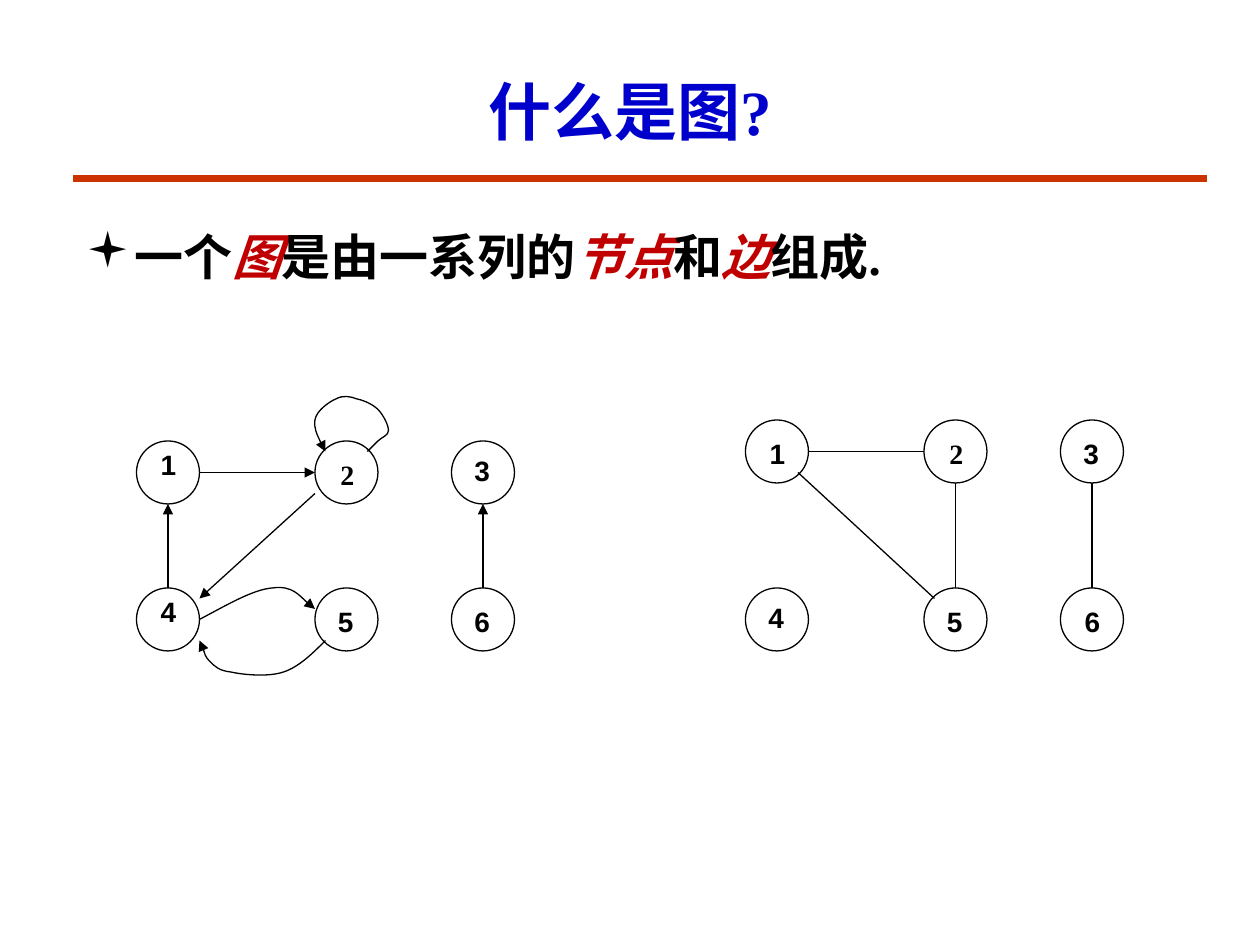
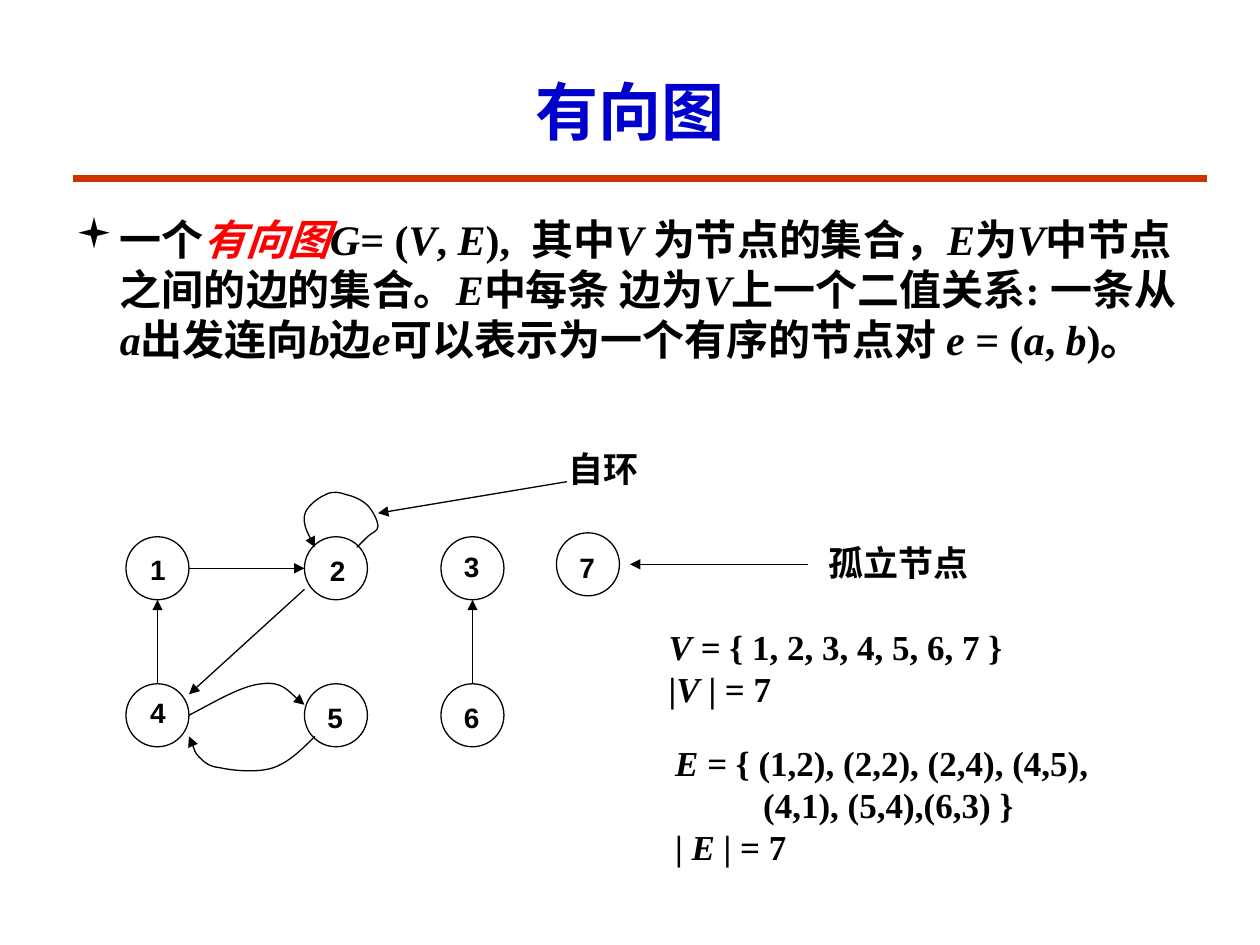
from lxml.etree import SubElement
from pptx import Presentation
from pptx.dml.color import RGBColor
from pptx.enum.shapes import MSO_CONNECTOR, MSO_SHAPE
from pptx.enum.text import MSO_ANCHOR, MSO_AUTO_SIZE, PP_ALIGN
from pptx.oxml.ns import qn
from pptx.util import Pt

# Style
SCALE = 9525
BLACK = RGBColor(0x00, 0x00, 0x00)
BLUE = RGBColor(0x00, 0x00, 0xCC)
RUST = RGBColor(0xCC, 0x33, 0x00)
WINE = RGBColor(0xC0, 0x00, 0x00)
RED = RGBColor(0xFF, 0x00, 0x00)
SERIF, SANS = "Times New Roman", "Arial"

# Graph layout, relative to the corner of node 1
SIZE = 48
COLS = (0, 136, 240)
EDGES = (((24, 112), (24, 48)), ((48, 24), (136, 24)),
         ((136, 40), (48, 120)), ((264, 112), (264, 48)))
LINKS = (((40, 40), (144, 136)), ((48, 24), (136, 24)),
         ((160, 128), (160, 48)), ((264, 128), (264, 48)))

# Bezier points: a start, then three for each part
LOOP = ((176, 8), (177, 7), (181, 3), (184, 0),
        (187, -3), (192, -4), (192, -8),
        (192, -12), (188, -20), (184, -24),
        (180, -28), (173, -31), (168, -32),
        (163, -34), (157, -35), (152, -32),
        (147, -30), (137, -23), (136, -16),
        (135, -10), (139, -1), (144, 8))
OVER = ((48, 136), (69, 125), (89, 113), (104, 112),
        (119, 110), (130, 124), (136, 128))
UNDER = ((144, 152), (134, 162), (124, 172), (112, 176),
         (100, 180), (81, 178), (72, 176),
         (63, 175), (60, 172), (56, 168),
         (52, 164), (50, 155), (48, 152))


def emu(px):
    return px * SCALE


class Deck:
    def __init__(self):
        self.prs = Presentation()
        self.prs.slide_width, self.prs.slide_height = emu(960), emu(720)

    def page(self, title):
        self.shapes = self.prs.slides.add_slide(self.prs.slide_layouts[6]).shapes
        self.line((56, 136), (920, 136), color=RUST, width=4.5)
        self.text((72, 40, 816, 88), [title], size=36, color=BLUE, wrap=True,
                  anchor=MSO_ANCHOR.MIDDLE, align=PP_ALIGN.CENTER)

    def stroke(self, shape, color=BLACK, width=0.75, arrow=False):
        shape.line.color.rgb = color
        shape.line.width = Pt(width)
        if arrow:
            ln = shape.element.spPr.find(qn("a:ln"))
            SubElement(ln, qn("a:tailEnd"), type="triangle")

    def line(self, start, end, **style):
        spots = [emu(v) for v in (*start, *end)]
        line = self.shapes.add_connector(MSO_CONNECTOR.STRAIGHT, *spots)
        self.stroke(line, **style)
        SubElement(line.element.spPr, qn("a:effectLst"))

    def curve(self, pts):
        pen = self.shapes.build_freeform(*pts[0], scale=SCALE)
        pen.add_line_segments(pts[1:], close=False)
        shape = pen.convert_to_shape()
        # Turn each three line steps into one Bezier part
        steps = list(shape.element.iter(qn("a:lnTo")))
        track = steps[0].getparent()
        for i in range(0, len(steps), 3):
            bend = SubElement(track, qn("a:cubicBezTo"))
            for step in steps[i:i + 3]:
                bend.append(step[0])
                track.remove(step)
        shape.fill.background()
        shape.shadow.inherit = False
        self.stroke(shape, arrow=True)

    def node(self, x, y, name, shift, font=SANS):
        ring = self.shapes.add_shape(MSO_SHAPE.OVAL, emu(x), emu(y), emu(SIZE), emu(SIZE))
        ring.fill.background()
        ring.shadow.inherit = False
        self.stroke(ring)
        dx, dy = shift
        self.text((x + dx, y + dy, 31, 35), [name], size=16, font=font)

    def text(self, box, rows, size=20, color=BLACK, hot=RED, font=SERIF, wrap=False,
             anchor=MSO_ANCHOR.TOP, align=PP_ALIGN.LEFT, hang=0, inset=()):
        """Stars mark italics, hot if Chinese; a lone starred space is wide."""
        frame = self.shapes.add_textbox(*[emu(v) for v in box]).text_frame
        fit = MSO_AUTO_SIZE.NONE if wrap else MSO_AUTO_SIZE.SHAPE_TO_FIT_TEXT
        form = {"word_wrap": wrap, "auto_size": fit, "vertical_anchor": anchor}
        for key, value in form.items():
            setattr(frame, key, value)
        for i, row in enumerate(rows):
            para = frame.add_paragraph() if i else frame.paragraphs[0]
            para.alignment = align
            props = para._p.get_or_add_pPr()
            if hang:
                props.set("marL", str(emu(hang)))
                props.set("indent", str(-emu(hang)))
                SubElement(props, qn("a:buFont"), typeface="Wingdings")
                SubElement(props, qn("a:buChar"), char="▪")
            elif i in inset:
                props.set("marL", str(emu(67)))
            for n, part in enumerate(row.split("*")):
                if not part:
                    continue
                run = para.add_run()
                run.text = part
                slant = n % 2 == 1
                form = {"name": font, "size": Pt(size), "bold": True, "italic": slant}
                for key, value in form.items():
                    setattr(run.font, key, value)
                term = slant and not part.isascii()
                run.font.color.rgb = hot if term else color
                if part == " ":
                    run._r.get_or_add_rPr().set("spc", "600")

    def graph(self, x, y, gap, shifts, edges, arcs=(), two=SANS):
        for i, shift in enumerate(shifts):
            row, col = divmod(i, 3)
            font = two if i == 1 else SANS
            self.node(x + COLS[col], y + row * gap, str(i + 1), shift, font)
        for ends in edges:
            start, end = [(x + a, y + b) for a, b in ends]
            self.line(start, end, arrow=bool(arcs))
        for arc in arcs:
            self.curve([(x + a, y + b) for a, b in arc])


def main():
    deck = Deck()
    arcs = (LOOP, OVER, UNDER)

    # What a graph is
    deck.page("什么是图?")
    deck.text((56, 168, 832, 472), ["一个*图*是由一系列的*节点*和*边*组成."],
              size=28, hot=WINE, wrap=True, hang=36)
    deck.graph(104, 336, 112, ((9, 0), (10, 8), (8, 5), (9, 0), (8, 8), (8, 8)),
               EDGES, arcs, SERIF)
    deck.graph(568, 320, 128, ((9, 8), (10, 8), (8, 8), (8, 5), (8, 8), (9, 8)),
               LINKS, two=SERIF)

    # Directed graph
    deck.page("有向图")
    deck.text((48, 120, 864, 200),
              ["一个*有向图**G*= (*V*, *E*), * *其中*V *为节点的集合，*E*为*V*中节点之间的边的集合。"
               "*E*中每条 边为*V*上一个二值关系: 一条从*a*出发连向*b*边*e*"
               "可以表示为一个有序的节点对 *e* = (*a*, *b*)。".replace("), * *", "),* *")],
              size=24, wrap=True, anchor=MSO_ANCHOR.MIDDLE, hang=34)
    deck.graph(96, 409, 112, ((9, 7), (10, 8), (8, 5), (9, 4), (8, 8), (8, 8)),
               EDGES, arcs)

    # Loop and lone node
    deck.node(424, 406, "7", (8, 9))
    deck.line((432, 367), (288, 391), arrow=True)
    deck.line((616, 430), (480, 430), arrow=True)
    deck.text((424, 336, 74, 42), ["自环"])
    deck.text((622, 408, 128, 42), ["孤立节点"])

    # Node and edge sets
    deck.text((500, 472, 276, 74), ["*V* = { 1, 2, 3, 4, 5, 6, 7 }", "|*V* | = 7"])
    deck.text((505, 560, 344, 107),
              ["*E* = { (1,2), (2,2), (2,4), (4,5),", "(4,1), (5,4),(6,3) }", "| *E* | = 7"],
              inset=(1,))
    deck.prs.save("out.pptx")


if __name__ == "__main__":
    main()
